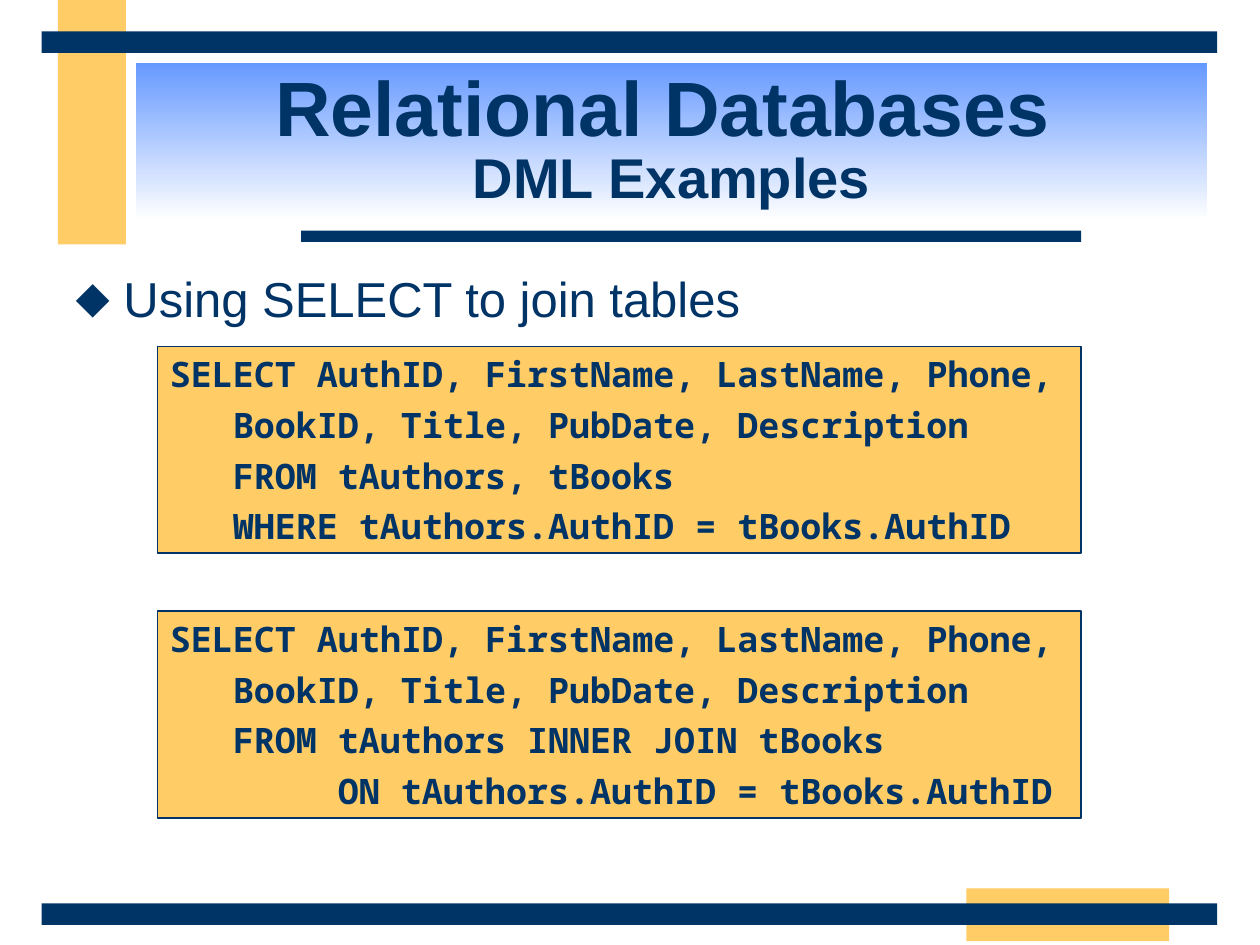
from lxml.etree import SubElement
from pptx import Presentation
from pptx.dml.color import RGBColor
from pptx.enum.shapes import MSO_SHAPE as Shape
from pptx.enum.text import MSO_ANCHOR as Anchor, MSO_AUTO_SIZE as AutoSize, PP_ALIGN as Align
from pptx.oxml.ns import qn
from pptx.util import Inches, Pt

NAVY = RGBColor(0x00, 0x33, 0x66)
AMBER = RGBColor(0xFF, 0xCC, 0x66)
SKY = RGBColor(0x66, 0x99, 0xFF)
WHITE = RGBColor(0xFF, 0xFF, 0xFF)
CODE_CHAR_WIDTH = Pt(12)  # advance of the 20 pt monospaced font

SELECT_LINES = [
    (0, "SELECT AuthID, FirstName, LastName, Phone,"),
    (3, "BookID, Title, PubDate, Description"),
]
WHERE_JOIN = SELECT_LINES + [
    (3, "FROM tAuthors, tBooks"),
    (3, "WHERE tAuthors.AuthID = tBooks.AuthID"),
]
INNER_JOIN = SELECT_LINES + [
    (3, "FROM tAuthors INNER JOIN tBooks"),
    (8, "ON tAuthors.AuthID = tBooks.AuthID"),
]


def place(shape, box):
    shape.left, shape.top, shape.width, shape.height = map(Inches, box)


def style(font, size, name="Arial", bold=False):
    font.name, font.size, font.bold = name, Pt(size), bold
    font.color.rgb = NAVY


def add_block(slide, box, color):
    block = slide.shapes.add_shape(Shape.RECTANGLE, *map(Inches, box))
    block.shadow.inherit = False
    block.fill.solid()
    block.fill.fore_color.rgb = color
    block.line.fill.background()
    return block


def add_frame(slide):
    """Amber accents with the navy bars that cross them."""
    for box in [(0.46, 0, 0.54, 1.94), (7.67, 7.05, 1.61, 0.42)]:
        add_block(slide, box, AMBER)
    for box in [(2.39, 1.83, 6.19, 0.09), (0.33, 7.17, 9.33, 0.17), (0.33, 0.25, 9.33, 0.17)]:
        add_block(slide, box, NAVY)


def fill_title(title, box, heading, subheading):
    place(title, box)
    title.fill.gradient()
    title.fill.gradient_angle = 270
    for stop, color in zip(title.fill.gradient_stops, (SKY, WHITE)):
        stop.color.rgb = color
    frame = title.text_frame
    frame.auto_size = AutoSize.NONE
    frame.vertical_anchor = Anchor.MIDDLE
    paragraph = frame.paragraphs[0]
    paragraph.alignment = Align.CENTER
    paragraph.line_spacing = 0.85
    for text, size in [(heading, 44), (" ", 36), (subheading, 32)]:
        if text == subheading:
            paragraph.add_line_break()
        run = paragraph.add_run()
        run.text = text
        style(run.font, size, bold=True)


def fill_body(body, box, text):
    place(body, box)
    body.text_frame.auto_size = AutoSize.NONE
    paragraph = body.text_frame.paragraphs[0]
    paragraph.text = text
    paragraph.space_before = Pt(7)
    properties = paragraph._p.get_or_add_pPr()
    properties.set("marL", str(Inches(0.38)))
    properties.set("indent", str(Inches(-0.38)))
    bullet_color = SubElement(properties, qn("a:buClr"))
    SubElement(bullet_color, qn("a:srgbClr"), val=str(NAVY))
    SubElement(properties, qn("a:buChar"), char="⬥")
    style(paragraph.font, 28)


def add_code(slide, box, lines):
    """Boxed statement; each line is (indent in characters, text)."""
    panel = add_block(slide, box, AMBER)
    panel.line.color.rgb = NAVY
    panel.line.width = Pt(1)
    frame = panel.text_frame
    frame.word_wrap = True
    frame.vertical_anchor = Anchor.TOP
    for index, (indent, text) in enumerate(lines):
        paragraph = frame.add_paragraph() if index else frame.paragraphs[0]
        paragraph.text = text
        paragraph.alignment = Align.LEFT
        paragraph.space_before = Pt(5)
        paragraph._p.get_or_add_pPr().set("marL", str(indent * CODE_CHAR_WIDTH))
        style(paragraph.font, 20, "Noto Sans Mono", bold=True)


def main():
    deck = Presentation()
    deck.slide_width, deck.slide_height = Inches(10), Inches(7.5)
    slide = deck.slides.add_slide(deck.slide_layouts[1])
    add_frame(slide)
    fill_title(slide.shapes.title, (1.08, 0.5, 8.5, 1.25), "Relational Databases", "DML Examples")
    fill_body(slide.placeholders[1], (0.5, 2.08, 9, 4.92), "Using SELECT to join tables")
    for top, lines in [(2.75, WHERE_JOIN), (4.85, INNER_JOIN)]:
        add_code(slide, (1.25, top, 7.33, 1.64), lines)
    deck.save("out.pptx")


if __name__ == "__main__":
    main()
